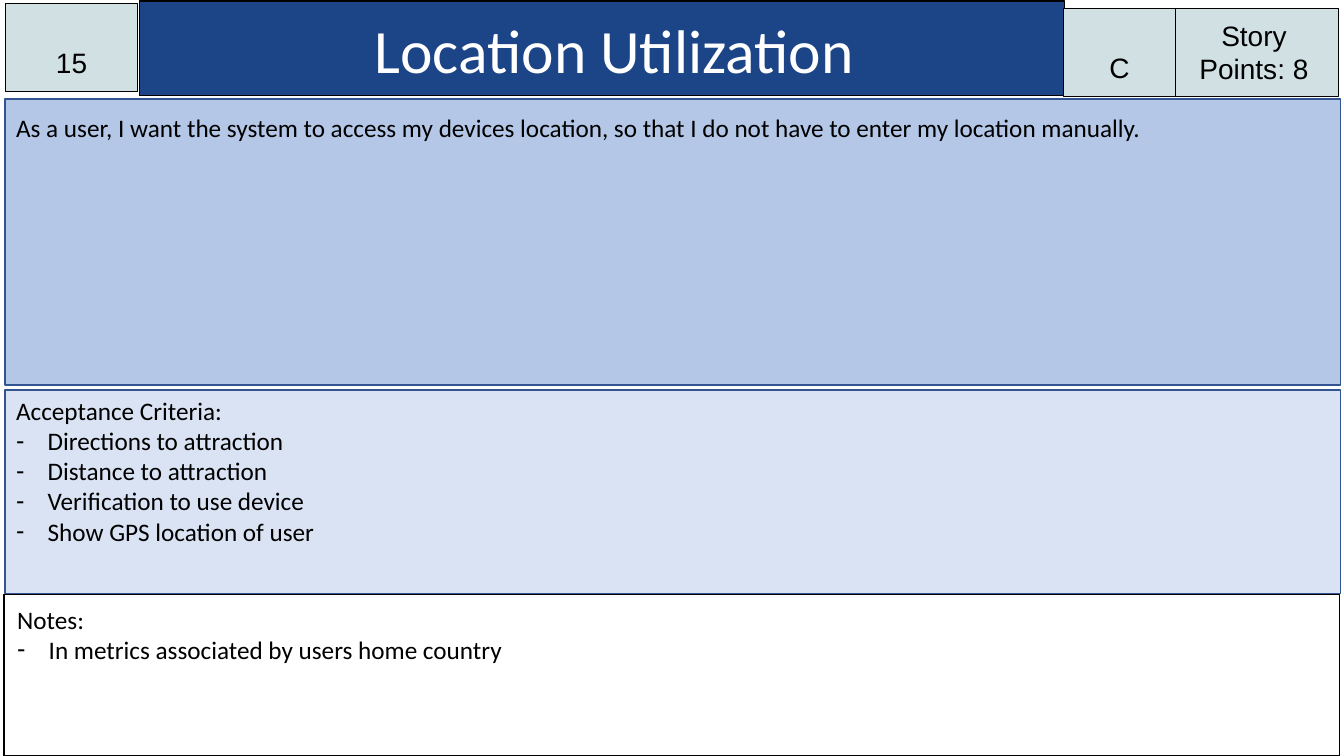
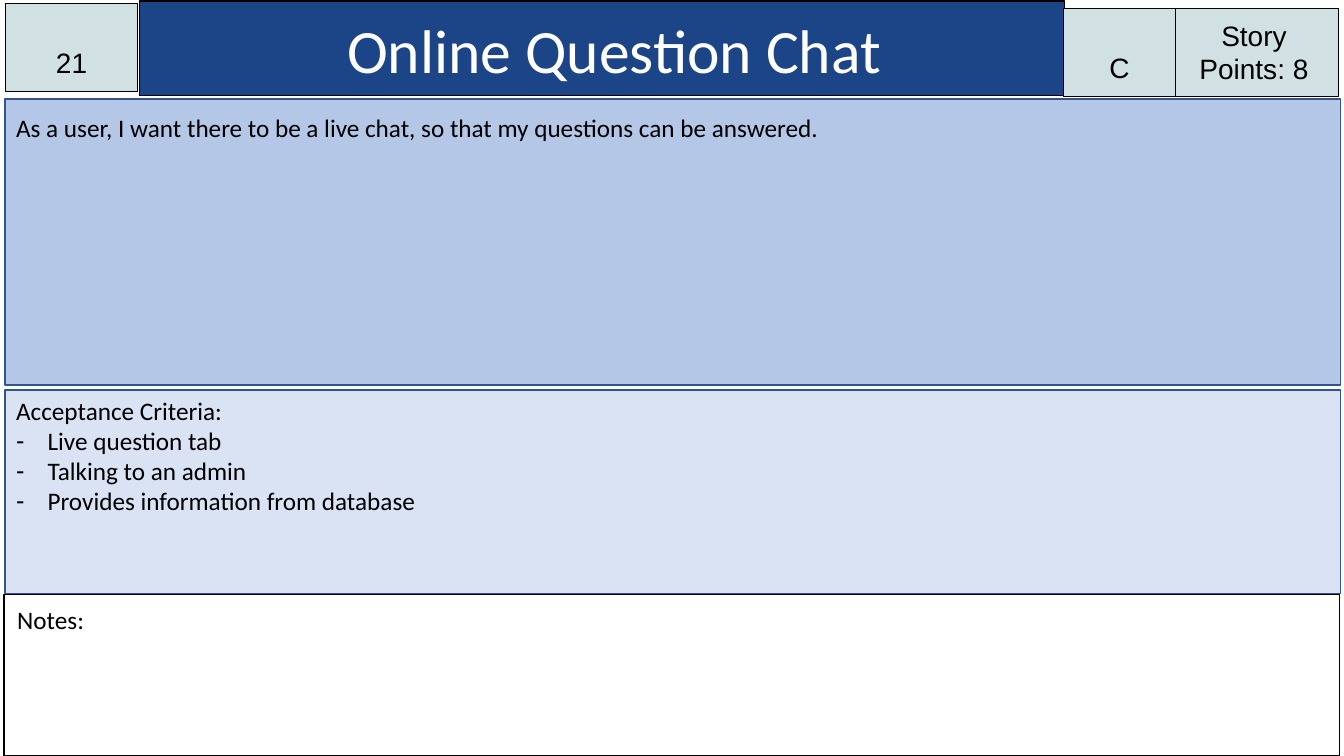
from dataclasses import dataclass
from typing import NamedTuple

import lxml.etree
import pptx
import pptx.dml.color
import pptx.enum.shapes
import pptx.enum.text
import pptx.oxml.ns
import pptx.util

Pt = pptx.util.Pt
RGBColor = pptx.dml.color.RGBColor
ALIGN = pptx.enum.text.PP_ALIGN
ANCHOR = pptx.enum.text.MSO_ANCHOR

BLACK = RGBColor(0x00, 0x00, 0x00)
WHITE = RGBColor(0xFF, 0xFF, 0xFF)
NAVY = RGBColor(0x1C, 0x45, 0x87)
TEAL_GREY = RGBColor(0xD0, 0xE0, 0xE3)
STORY_BLUE = RGBColor(0xB4, 0xC7, 0xE7)
CRITERIA_BLUE = RGBColor(0xDA, 0xE3, 0xF3)
EDGE_BLUE = RGBColor(0x32, 0x54, 0x91)

TWO_CONTENT_LAYOUT = 3
TITLE_INDENT = 18
HANGING_INDENT = 22.5
CELL_INSET = 7.2
SECOND_LINE_INSET = 30


class Frame(NamedTuple):
    left: float
    top: float
    width: float
    height: float


@dataclass(frozen=True)
class Box:
    frame: Frame
    fill: RGBColor
    edge: RGBColor
    edge_width: float
    inset_left: float
    inset_top: float
    font: str
    size: float
    color: RGBColor = BLACK
    align: ALIGN = ALIGN.LEFT
    anchor: ANCHOR = ANCHOR.TOP


@dataclass(frozen=True)
class StoryCard:
    number: str
    title: str
    story: str
    criteria: tuple[str, ...]
    notes: tuple[str, ...] = ()
    priority: str = "C"
    points: int = 8


def header_cell(frame: Frame, inset_top: float) -> Box:
    return Box(frame, TEAL_GREY, BLACK, 0.75, CELL_INSET, inset_top, "Arial", 20, align=ALIGN.CENTER)


def panel(frame: Frame, fill: RGBColor, edge: RGBColor, inset_left: float, inset_top: float) -> Box:
    return Box(frame, fill, edge, 1, inset_left, inset_top, "Calibri", 18)


TITLE = Box(Frame(99.4, 0.7, 661, 67.7), NAVY, BLACK, 0.75, CELL_INSET, CELL_INSET,
            "Calibri", 44, WHITE, ALIGN.CENTER, ANCHOR.BOTTOM)
POINTS = header_cell(Frame(835.2, 5.8, 121, 63.4), CELL_INSET)
PRIORITY = header_cell(Frame(759.6, 5.8, 80, 63.4), SECOND_LINE_INSET)
NUMBER = header_cell(Frame(3.6, 2.2, 95, 63.4), SECOND_LINE_INSET)
STORY = panel(Frame(3.6, 70.6, 954, 204.5), STORY_BLUE, EDGE_BLUE, 7.9, 9.4)
CRITERIA = panel(Frame(3.6, 278.6, 954, 145.5), CRITERIA_BLUE, EDGE_BLUE, 7.9, 3.6)
NOTES = panel(Frame(2.9, 424.8, 954, 115.2), WHITE, BLACK, 9.4, 6.5)

CARDS = (
    StoryCard(
        "15",
        "Location Utilization",
        "As a user, I want the system to access my devices location, "
        "so that I do not have to enter my location manually.",
        ("Directions to attraction", "Distance to attraction",
         "Verification to use device", "Show GPS location of user"),
        ("In metrics associated by users home country",),
    ),
    StoryCard(
        "21",
        "Online Question Chat",
        "As a user, I want there to be a live chat, so that my questions can be answered.",
        ("Live question tab", "Talking to an admin", "Provides information from database"),
    ),
)


def style_box(shape, box: Box, text: str) -> None:
    shape.left, shape.top, shape.width, shape.height = (Pt(length) for length in box.frame)
    shape.fill.solid()
    shape.fill.fore_color.rgb = box.fill
    shape.line.color.rgb = box.edge
    shape.line.width = Pt(box.edge_width)
    text_frame = shape.text_frame
    text_frame.text = text
    text_frame.word_wrap = True
    text_frame.auto_size = pptx.enum.text.MSO_AUTO_SIZE.NONE
    text_frame.vertical_anchor = box.anchor
    text_frame.margin_left = text_frame.margin_right = Pt(box.inset_left)
    text_frame.margin_top = Pt(box.inset_top)
    text_frame.margin_bottom = Pt(CELL_INSET)
    for para in text_frame.paragraphs:
        para.alignment = box.align
        para.space_before = Pt(0)
        for span in para.runs:
            span.font.name = box.font
            span.font.size = Pt(box.size)
            span.font.color.rgb = box.color


def set_indent(para, left: float, first: float):
    properties = para._p.get_or_add_pPr()
    properties.set("marL", str(int(Pt(left))))
    properties.set("indent", str(int(Pt(first))))
    return properties


def add_cell(page, box: Box, text: str) -> None:
    shape = page.shapes.add_shape(
        pptx.enum.shapes.MSO_SHAPE.RECTANGLE, *(Pt(length) for length in box.frame))
    shape.shadow.inherit = False
    style_box(shape, box, text)


def fill_list(shape, box: Box, heading: str, items: tuple[str, ...]) -> None:
    style_box(shape, box, "\n".join((heading, *items)))
    heading_para, *item_paras = shape.text_frame.paragraphs
    properties = set_indent(heading_para, 0, 0)
    lxml.etree.SubElement(properties, pptx.oxml.ns.qn("a:buNone"))
    for para in item_paras:
        properties = set_indent(para, HANGING_INDENT, -HANGING_INDENT)
        lxml.etree.SubElement(properties, pptx.oxml.ns.qn("a:buChar"), char="-")


def add_card(deck, card: StoryCard) -> None:
    page = deck.slides.add_slide(deck.slide_layouts[TWO_CONTENT_LAYOUT])
    title = page.shapes.title
    style_box(title, TITLE, card.title)
    set_indent(title.text_frame.paragraphs[0], 0, TITLE_INDENT)
    add_cell(page, POINTS, f"Story Points: {card.points}")
    add_cell(page, PRIORITY, card.priority)
    add_cell(page, NUMBER, card.number)
    add_cell(page, STORY, card.story)
    fill_list(page.placeholders[1], CRITERIA, "Acceptance Criteria:", card.criteria)
    fill_list(page.placeholders[2], NOTES, "Notes:", card.notes)


def main() -> None:
    deck = pptx.Presentation()
    deck.slide_width = Pt(960)
    deck.slide_height = Pt(540)
    for card in CARDS:
        add_card(deck, card)
    deck.save("out.pptx")


if __name__ == "__main__":
    main()
